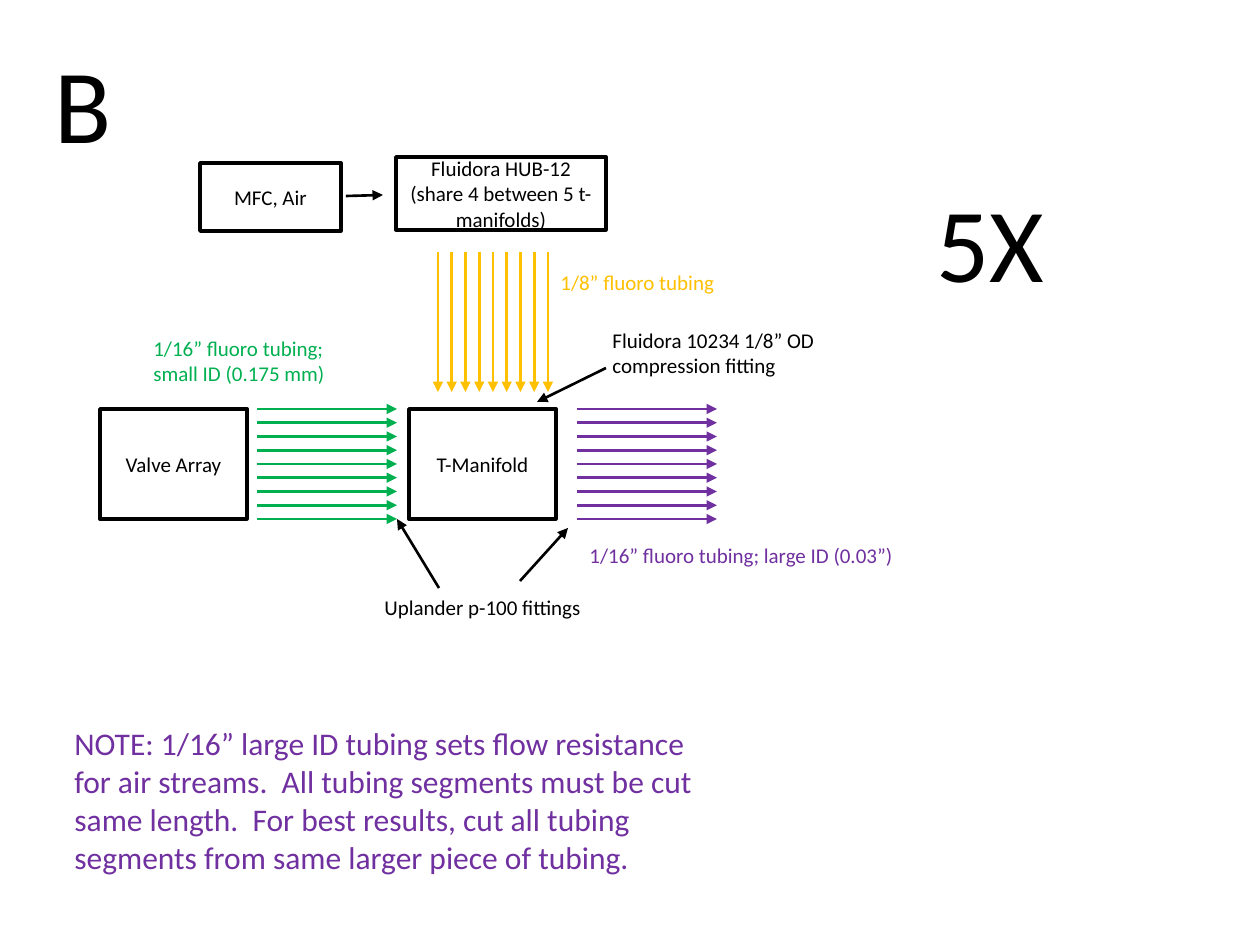
from lxml.etree import SubElement
from pptx import Presentation
from pptx.dml.color import RGBColor
from pptx.enum.shapes import MSO_CONNECTOR, MSO_SHAPE
from pptx.enum.text import MSO_ANCHOR, MSO_AUTO_SIZE, PP_ALIGN
from pptx.oxml.ns import qn
from pptx.util import Pt

SCALE = 914400 / 126
BLACK, WHITE = "000000", "FFFFFF"
GREEN, YELLOW, PURPLE = "00B050", "FFC000", "7030A0"
TUBE_COUNT = 9


def px(length):
    return round(length * SCALE)


def color(value):
    return RGBColor.from_string(value)


def style_paragraph(paragraph, text, size, hex_color):
    paragraph.text = text
    paragraph.font.name = "Calibri"
    paragraph.font.size = Pt(size)
    paragraph.font.color.rgb = color(hex_color)


def add_component(shapes, left, top, width, height, text):
    shape = shapes.add_shape(MSO_SHAPE.RECTANGLE, px(left), px(top), px(width), px(height))
    shape.shadow.inherit = False
    shape.fill.solid()
    shape.fill.fore_color.rgb = color(WHITE)
    shape.line.color.rgb = color(BLACK)
    shape.line.width = Pt(2)
    frame = shape.text_frame
    frame.word_wrap = True
    frame.vertical_anchor = MSO_ANCHOR.MIDDLE
    paragraph = frame.paragraphs[0]
    style_paragraph(paragraph, text, 12, BLACK)
    paragraph.alignment = PP_ALIGN.CENTER


def add_label(shapes, left, top, width, height, lines, hex_color=BLACK, size=12, wrap=False):
    frame = shapes.add_textbox(px(left), px(top), px(width), px(height)).text_frame
    frame.word_wrap = wrap
    frame.auto_size = MSO_AUTO_SIZE.SHAPE_TO_FIT_TEXT
    for index, line in enumerate(lines):
        paragraph = frame.add_paragraph() if index else frame.paragraphs[0]
        style_paragraph(paragraph, line, size, hex_color)


def add_arrow(shapes, start_x, start_y, end_x, end_y, hex_color=BLACK):
    connector = shapes.add_connector(
        MSO_CONNECTOR.STRAIGHT, px(start_x), px(start_y), px(end_x), px(end_y))
    connector.line.color.rgb = color(hex_color)
    connector.line.width = Pt(1.5)
    SubElement(connector.line._get_or_add_ln(), qn("a:tailEnd"), type="triangle")
    SubElement(connector._element.spPr, qn("a:effectLst"))


def add_tubing(shapes, left, top, width, height, hex_color, downward=False):
    group = shapes.add_group_shape()
    for index in range(TUBE_COUNT):
        fraction = index / (TUBE_COUNT - 1)
        if downward:
            x = left + width * fraction
            add_arrow(group.shapes, x, top, x, top + height, hex_color)
        else:
            y = top + height * fraction
            add_arrow(group.shapes, left, y, left + width, y, hex_color)


def add_air_supply(shapes, left, top):
    add_component(shapes, left, top + 6, 141, 68, "MFC, Air")
    add_component(shapes, left + 196, top, 210, 73,
                  "Fluidora HUB-12 (share 4 between 5 t-manifolds)")
    add_arrow(shapes, left + 146, top + 39, left + 183, top + 38)
    add_tubing(shapes, left + 238, top + 95, 110, 140, YELLOW, downward=True)
    add_label(shapes, left + 348, top + 106, 180, 38, ["1/8” fluoro tubing"], YELLOW)


def add_manifold_row(shapes, left, top):
    for offset, name in ((0, "Valve Array"), (309, "T-Manifold")):
        add_component(shapes, left + offset, top, 147, 110, name)
    for offset, hex_color in ((157, GREEN), (477, PURPLE)):
        add_tubing(shapes, left + offset, top, 140, 110, hex_color)
    add_label(shapes, left + 41, top - 80, 202, 63,
              ["1/16” fluoro tubing; ", "small ID (0.175 mm)"], GREEN)
    add_label(shapes, left + 477, top + 127, 331, 38,
              ["1/16” fluoro tubing; large ID (0.03”)"], PURPLE)


def add_fittings(shapes, left, top):
    add_label(shapes, left + 228, top, 236, 63,
              ["Fluidora 10234 1/8” OD ", "compression fitting"])
    add_label(shapes, left, top + 267, 227, 38, ["Uplander p-100 fittings"])
    for start_x, start_y, end_x, end_y in (
            (234, 47, 165, 81), (67, 267, 25, 198), (148, 260, 196, 207)):
        add_arrow(shapes, left + start_x, top + start_y, left + end_x, top + end_y)


presentation = Presentation()
presentation.slide_width = px(1260)
presentation.slide_height = px(945)
slide = presentation.slides.add_slide(presentation.slide_layouts[6])
shapes = slide.shapes

add_air_supply(shapes, 200, 157)
add_manifold_row(shapes, 100, 409)
add_fittings(shapes, 372, 321)
add_label(shapes, 62, 718, 643, 165, [
    "NOTE: 1/16” large ID tubing sets flow resistance for air streams.  "
    "All tubing segments must be cut same length.  For best results, "
    "cut all tubing segments from same larger piece of tubing."], PURPLE, 18, wrap=True)
add_label(shapes, 42, 32, 83, 140, ["B"], size=60)
add_label(shapes, 924, 171, 134, 140, ["5X"], size=60)

presentation.save("out.pptx")
